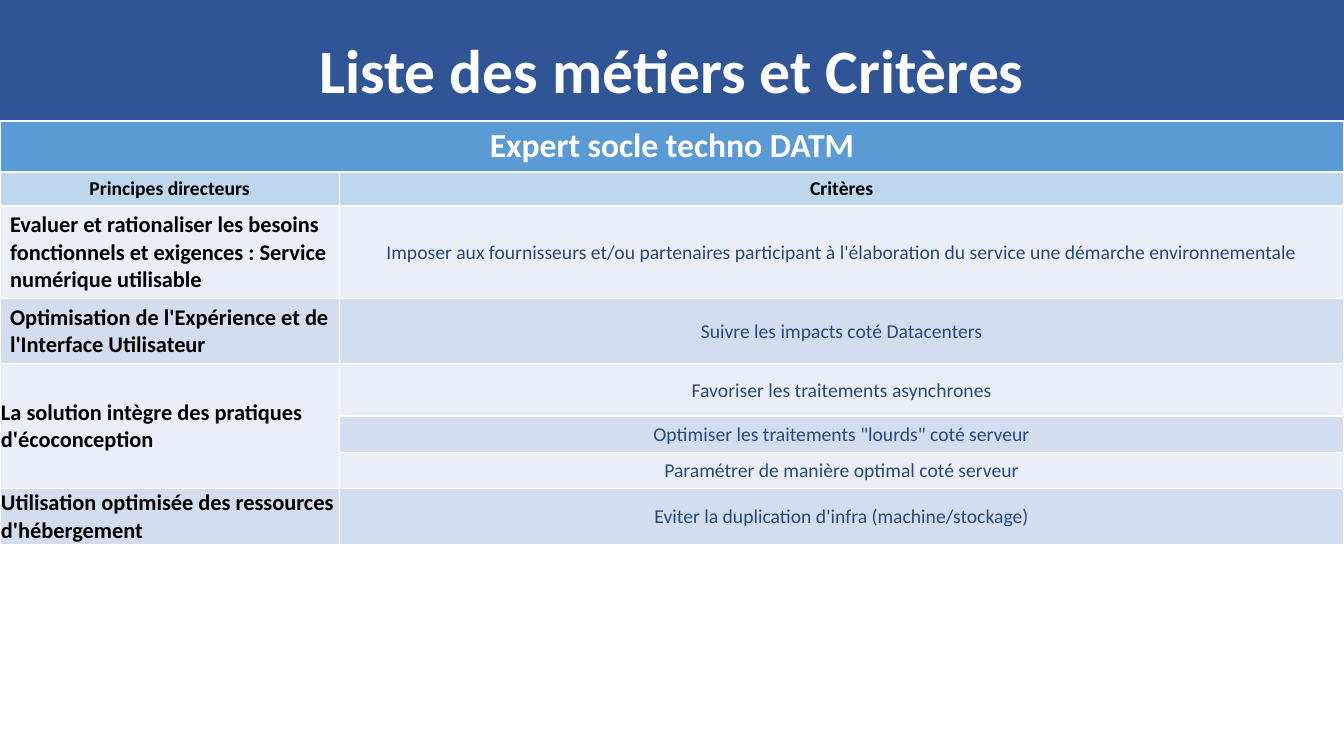
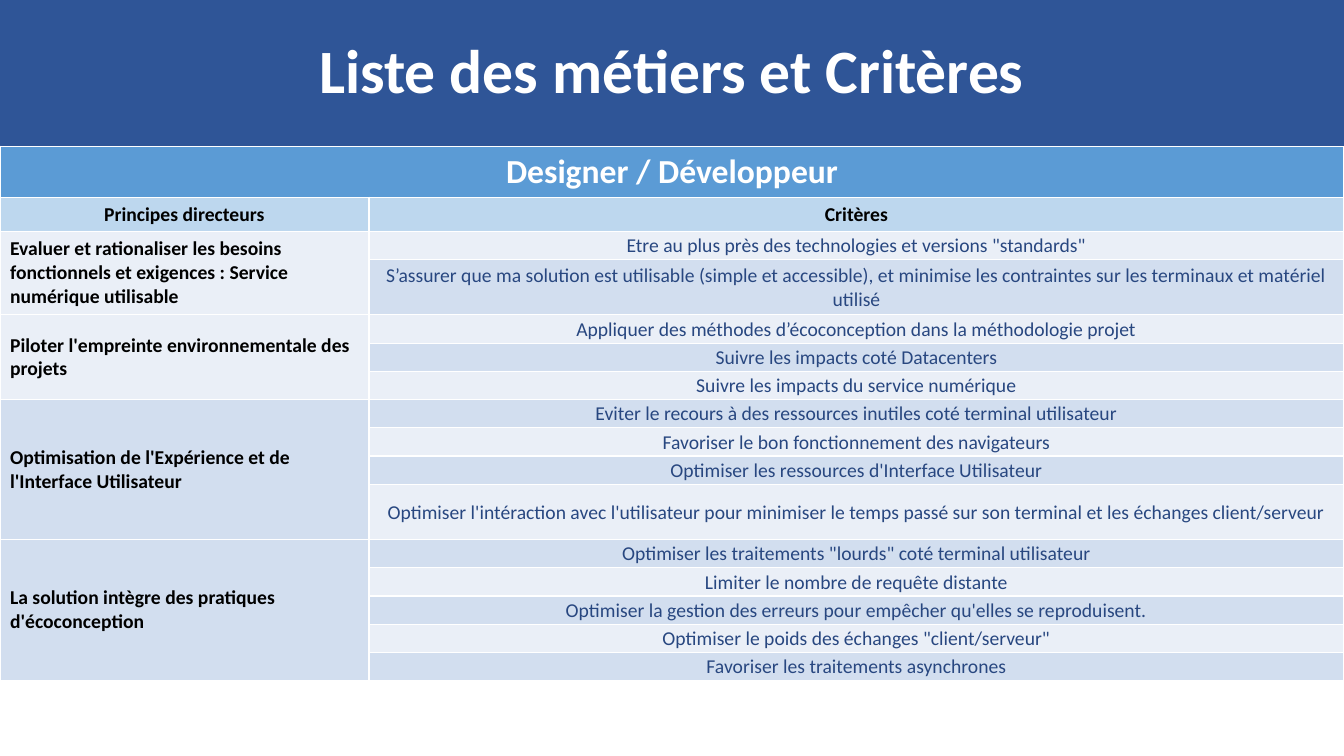
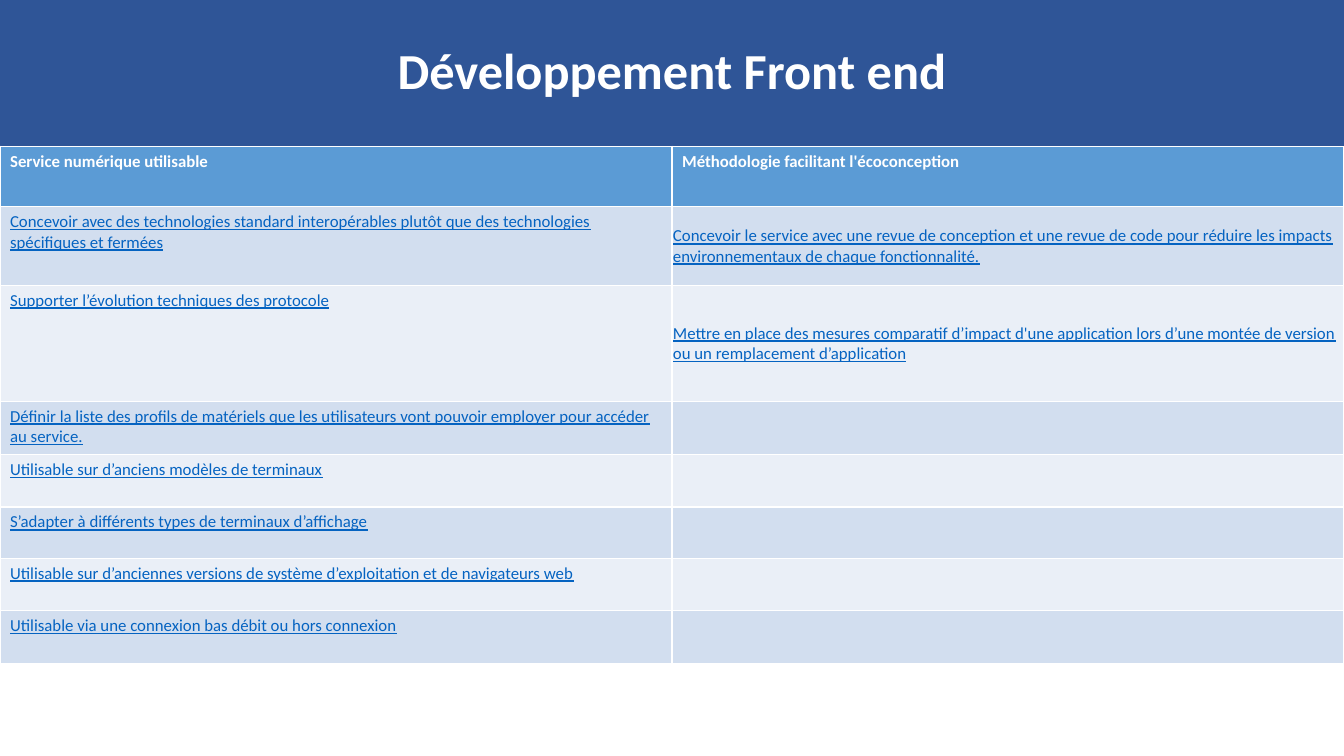
from dataclasses import dataclass

from pptx import Presentation
from pptx.dml.color import RGBColor
from pptx.enum.text import MSO_ANCHOR, PP_ALIGN
from pptx.util import Inches, Pt

SLIDE_WIDTH, SLIDE_HEIGHT = 13.33, 7.5
BAND_HEIGHT = 1.45
TITLE_ONLY = 5
FONT = "Calibri"
WHITE, BLACK = "FFFFFF", "000000"
BAND_BLUE = "2F5597"
HEADER_BLUE = "5B9BD5"
SUBHEADER_BLUE = "BDD7EE"
CRITERION_BLUE = "284780"
LINK_BLUE = "0563C1"
ROW_BANDS = ("EAEFF7", "D2DEEF")  # even rows, odd rows


@dataclass(frozen=True)
class TextStyle:
    size: float
    color: str
    bold: bool = False
    underline: bool = False
    align: PP_ALIGN = PP_ALIGN.LEFT
    anchor: MSO_ANCHOR = MSO_ANCHOR.MIDDLE
    tight: bool = False
    space_after: float = 0


@dataclass(frozen=True)
class Criterion:
    text: str
    height: float = 0.28


@dataclass(frozen=True)
class Principle:
    text: str
    criteria: tuple[Criterion, ...]
    tight: bool = False


@dataclass(frozen=True)
class Job:
    name: str
    top: float
    left_percent: float
    principle_size: float
    principles: tuple[Principle, ...]


@dataclass(frozen=True)
class Practice:
    height: float
    usable_service: str
    methodology: str = ""


JOB_HEADER = TextStyle(24, WHITE, bold=True, align=PP_ALIGN.CENTER,
                       anchor=MSO_ANCHOR.TOP)
SUBHEADER = TextStyle(14, BLACK, bold=True, align=PP_ALIGN.CENTER)
CRITERION = TextStyle(14, CRITERION_BLUE, align=PP_ALIGN.CENTER, tight=True,
                      space_after=3)
PRACTICE_HEADER = TextStyle(12, WHITE, bold=True, anchor=MSO_ANCHOR.TOP)
SERVICE_LINK = TextStyle(12, LINK_BLUE, underline=True, anchor=MSO_ANCHOR.TOP)
METHOD_LINK = TextStyle(12, LINK_BLUE, underline=True, tight=True)

JOBS_TITLE = "Liste des métiers et Critères"
JOB_HEADER_HEIGHTS = [0.5, 0.33]

JOBS = (
    Job("Expert socle techno DATM", 1.2, 25.25, 16, (
        Principle("Evaluer et rationaliser les besoins fonctionnels et exigences : "
                  "Service numérique utilisable", (
                      Criterion("Imposer aux fournisseurs et/ou partenaires participant "
                                "à l'élaboration du service une démarche "
                                "environnementale", 0.92),)),
        Principle("Optimisation de l'Expérience et de l'Interface Utilisateur", (
            Criterion("Suivre les impacts coté Datacenters", 0.64),)),
        Principle("La solution intègre des pratiques d'écoconception", (
            Criterion("Favoriser les traitements asynchrones", 0.52),
            Criterion('Optimiser les traitements "lourds" coté serveur', 0.36),
            Criterion("Paramétrer de manière optimal coté serveur", 0.36),
        ), tight=True),
        Principle("Utilisation optimisée des ressources d'hébergement", (
            Criterion("Eviter la duplication d'infra (machine/stockage)", 0.51),
        ), tight=True),
    )),
    Job("Designer / Développeur", BAND_HEIGHT, 27.45, 14, (
        Principle("Evaluer et rationaliser les besoins fonctionnels et exigences : "
                  "Service numérique utilisable", (
                      Criterion("Etre au plus près des technologies et versions "
                                '"standards"'),
                      Criterion("S’assurer que ma solution est utilisable (simple et "
                                "accessible), et minimise les contraintes sur les "
                                "terminaux et matériel utilisé", 0.55),)),
        Principle("Piloter l'empreinte environnementale des projets", (
            Criterion("Appliquer des méthodes d’écoconception dans la méthodologie "
                      "projet"),
            Criterion("Suivre les impacts coté Datacenters"),
            Criterion("Suivre les impacts du service numérique"),
        )),
        Principle("Optimisation de l'Expérience et de l'Interface Utilisateur", (
            Criterion("Eviter le recours à des ressources inutiles coté terminal "
                      "utilisateur"),
            Criterion("Favoriser le bon fonctionnement des navigateurs"),
            Criterion("Optimiser les ressources d'Interface Utilisateur"),
            Criterion("Optimiser l'intéraction avec l'utilisateur pour minimiser le "
                      "temps passé sur son terminal et les échanges client/serveur",
                      0.55),
        )),
        Principle("La solution intègre des pratiques d'écoconception", (
            Criterion('Optimiser les traitements "lourds" coté terminal utilisateur'),
            Criterion("Limiter le nombre de requête distante"),
            Criterion("Optimiser la gestion des erreurs pour empêcher qu'elles se "
                      "reproduisent."),
            Criterion('Optimiser le poids des échanges "client/serveur"'),
            Criterion("Favoriser les traitements asynchrones"),
        )),
    )),
)

PRACTICE_HEADERS = ("Service numérique utilisable",
                    "Méthodologie facilitant l'écoconception")
PRACTICES = (
    Practice(0.78,
             "Concevoir avec des technologies standard interopérables plutôt que des "
             "technologies spécifiques et fermées",
             "Concevoir le service avec une revue de conception et une revue de code "
             "pour réduire les impacts environnementaux de chaque fonctionnalité."),
    Practice(1.15, "Supporter l’évolution techniques des protocole",
             "Mettre en place des mesures comparatif d’impact d'une application lors "
             "d’une montée de version ou un remplacement d’application"),
    Practice(0.53, "Définir la liste des profils de matériels que les utilisateurs "
                   "vont pouvoir employer pour accéder au service."),
    Practice(0.52, "Utilisable sur d’anciens modèles de terminaux"),
    Practice(0.51, "S’adapter à différents types de terminaux d’affichage"),
    Practice(0.52, "Utilisable sur d’anciennes versions de système d’exploitation et "
                   "de navigateurs web"),
    Practice(0.52, "Utilisable via une connexion bas débit ou hors connexion"),
)


def rgb(color: str) -> RGBColor:
    return RGBColor.from_string(color)


def paint(shape_or_cell, color: str) -> None:
    shape_or_cell.fill.solid()
    shape_or_cell.fill.fore_color.rgb = rgb(color)


def style_paragraph(paragraph, style: TextStyle) -> None:
    paragraph.alignment = style.align
    if style.space_after:
        paragraph.space_after = Pt(style.space_after)
    font = paragraph.font
    font.name, font.size = FONT, Pt(style.size)
    font.bold, font.underline = style.bold, style.underline
    font.color.rgb = rgb(style.color)


def write_cell(cell, text: str, style: TextStyle) -> None:
    cell.text = text
    cell.vertical_anchor = style.anchor
    if style.tight:
        cell.margin_left = cell.margin_top = cell.margin_right = Inches(0.01)
        cell.margin_bottom = 0
    style_paragraph(cell.text_frame.paragraphs[0], style)


def add_titled_slide(deck, title: str, size: float):
    """Add a slide whose title placeholder fills the blue band at the top."""
    slide = deck.slides.add_slide(deck.slide_layouts[TITLE_ONLY])
    band = slide.shapes.title
    band.left = band.top = 0
    band.width, band.height = Inches(SLIDE_WIDTH), Inches(BAND_HEIGHT)
    paint(band, BAND_BLUE)
    band.text_frame.text = title
    band.text_frame.vertical_anchor = MSO_ANCHOR.MIDDLE
    paragraph = band.text_frame.paragraphs[0]
    style_paragraph(paragraph, TextStyle(size, WHITE, bold=True,
                                         align=PP_ALIGN.CENTER))
    paragraph.line_spacing = 0.9
    return slide


def add_banded_table(slide, top: float, left_percent: float, heights: list[float],
                     header_fills: tuple[str, ...]):
    """Add a full-width, two-column table: header rows, then alternating bands."""
    table = slide.shapes.add_table(len(heights), 2, 0, Inches(top),
                                   Inches(SLIDE_WIDTH), Inches(sum(heights))).table
    table.horz_banding = False
    left_width = SLIDE_WIDTH * left_percent / 100
    for column, width in zip(table.columns, (left_width, SLIDE_WIDTH - left_width)):
        column.width = Inches(width)
    for index, (row, height) in enumerate(zip(table.rows, heights)):
        row.height = Inches(height)
        is_header = index < len(header_fills)
        for cell in row.cells:
            paint(cell, header_fills[index] if is_header else ROW_BANDS[index % 2])
    return table


def add_job_slide(deck, job: Job) -> None:
    slide = add_titled_slide(deck, JOBS_TITLE, 44)
    heights = JOB_HEADER_HEIGHTS + [criterion.height for principle in job.principles
                                    for criterion in principle.criteria]
    table = add_banded_table(slide, job.top, job.left_percent, heights,
                             (HEADER_BLUE, SUBHEADER_BLUE))
    table.cell(0, 0).merge(table.cell(0, 1))
    write_cell(table.cell(0, 0), job.name, JOB_HEADER)
    for column, heading in enumerate(("Principes directeurs", "Critères")):
        write_cell(table.cell(1, column), heading, SUBHEADER)

    row = len(JOB_HEADER_HEIGHTS)
    for principle in job.principles:
        last_row = row + len(principle.criteria) - 1
        if last_row > row:
            table.cell(row, 0).merge(table.cell(last_row, 0))
        write_cell(table.cell(row, 0), principle.text,
                   TextStyle(job.principle_size, BLACK, bold=True,
                             tight=principle.tight))
        for offset, criterion in enumerate(principle.criteria):
            write_cell(table.cell(row + offset, 1), criterion.text, CRITERION)
        row = last_row + 1


def add_practice_slide(deck) -> None:
    slide = add_titled_slide(deck, "Développement Front end", 36)
    heights = [0.6] + [practice.height for practice in PRACTICES]
    table = add_banded_table(slide, BAND_HEIGHT, 50, heights, (HEADER_BLUE,))
    for column, heading in enumerate(PRACTICE_HEADERS):
        write_cell(table.cell(0, column), heading, PRACTICE_HEADER)
    for row, practice in enumerate(PRACTICES, start=1):
        write_cell(table.cell(row, 0), practice.usable_service, SERVICE_LINK)
        if practice.methodology:
            write_cell(table.cell(row, 1), practice.methodology, METHOD_LINK)


def main() -> None:
    deck = Presentation()
    deck.slide_width, deck.slide_height = Inches(SLIDE_WIDTH), Inches(SLIDE_HEIGHT)
    for job in JOBS:
        add_job_slide(deck, job)
    add_practice_slide(deck)
    deck.save("out.pptx")


if __name__ == "__main__":
    main()
